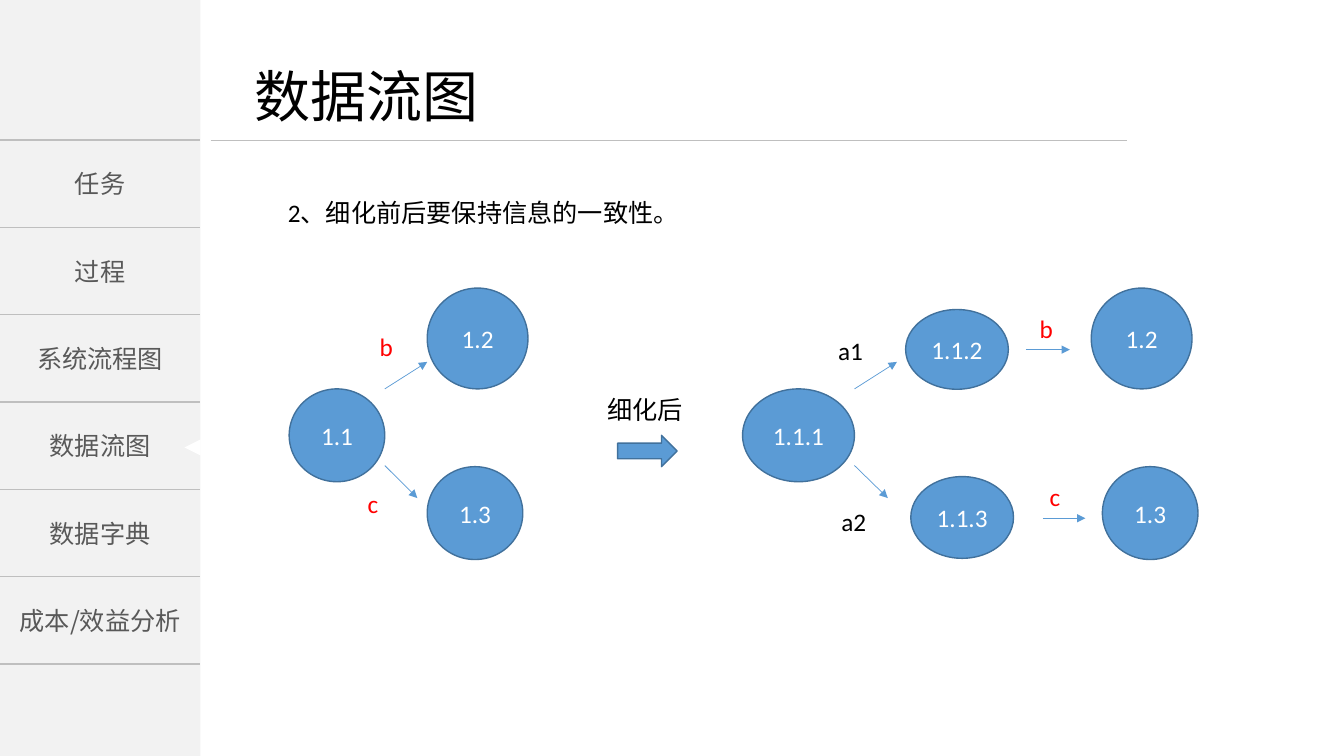
"""Build the data flow diagram slide with its chapter sidebar."""
from typing import NamedTuple

from lxml import etree
from pptx import Presentation
from pptx.dml.color import RGBColor
from pptx.enum import shapes, text
from pptx.oxml.ns import qn
from pptx.util import Cm, Pt

COLORS = {
    "black": "000000", "white": "FFFFFF", "red": "FF0000", "panel": "F2F2F2",
    "rule": "BFBFBF", "chapter": "595959", "blue": "5B9BD5", "outline": "41719C",
}
LATIN, CJK = "Calibri", "Noto Sans CJK SC"
SIDEBAR_W, CHAPTER_TOP, CHAPTER_H = 5.05, 3.53, 2.2
CHAPTERS = ["任务", "过程", "系统流程图", "数据流图", "数据字典", "成本/效益分析"]


class Box(NamedTuple):
    """Position and size in centimetres."""
    left: float
    top: float
    width: float
    height: float


class Process(NamedTuple):
    """A numbered process bubble."""
    name: str
    box: Box


class Line(NamedTuple):
    """A straight line between two points."""
    x1: float
    y1: float
    x2: float
    y2: float


class Label(NamedTuple):
    """A one-line caption."""
    words: str
    left: float
    top: float
    width: float
    color: str = "black"


PROCESSES = [
    Process("1.1", Box(7.29, 9.8, 2.41, 2.34)),
    Process("1.2", Box(10.77, 7.26, 2.54, 2.54)),
    Process("1.3", Box(10.77, 11.76, 2.41, 2.34)),
    Process("1.1.1", Box(18.72, 9.8, 2.82, 2.34)),
    Process("1.2", Box(27.51, 7.26, 2.54, 2.54)),
    Process("1.3", Box(27.79, 11.76, 2.41, 2.34)),
    Process("1.1.2", Box(22.83, 7.8, 2.59, 2.01)),
    Process("1.1.3", Box(22.96, 12.01, 2.59, 2.06)),
]
FLOWS = [
    Line(9.7, 9.8, 10.77, 9.12),
    Line(9.7, 11.73, 10.52, 12.55),
    Line(21.54, 9.8, 22.61, 9.12),
    Line(21.54, 11.73, 22.38, 12.55),
    Line(25.86, 8.81, 26.97, 8.81),
    Line(26.29, 13.06, 27.36, 13.06),
]
LABELS = [
    Label("2、细化前后要保持信息的一致性。", 7.01, 4.85, 11.15),
    Label("b", 9.32, 8.23, 0.89, "red"),
    Label("c", 9.02, 12.17, 1.3, "red"),
    Label("a1", 20.88, 8.31, 1.19),
    Label("a2", 20.96, 12.62, 1.17),
    Label("b", 25.96, 7.77, 0.84, "red"),
    Label("c", 26.21, 12.01, 0.91, "red"),
    Label("细化后", 15.06, 9.8, 3.48),
]


def rgb(name: str) -> RGBColor:
    """Look up a colour by name."""
    return RGBColor.from_string(COLORS[name])


def write(sp, words: str, color: str, font: str = LATIN, size: int = 18,
          align=text.PP_ALIGN.LEFT, anchor=text.MSO_ANCHOR.TOP, wrap: bool = True) -> None:
    """Fill a shape with one formatted paragraph."""
    tf = sp.text_frame
    tf.text = words
    tf.auto_size = text.MSO_AUTO_SIZE.NONE
    tf.word_wrap = wrap
    tf.vertical_anchor = anchor
    tf.margin_left = tf.margin_right = Cm(0.25)
    tf.margin_top = tf.margin_bottom = Cm(0.13)
    p = tf.paragraphs[0]
    p.alignment = align
    p.font.size = Pt(size)
    p.font.color.rgb = rgb(color)
    p.font.name = font
    default = p._p.pPr.find(qn("a:defRPr"))
    etree.SubElement(default, qn("a:ea"), typeface=CJK)


def add_shape(s, kind, box: Box, fill: str, outline: str = ""):
    """Add a flat preset shape."""
    sp = s.shapes.add_shape(kind, *map(Cm, box))
    sp.shadow.inherit = False
    sp.fill.solid()
    sp.fill.fore_color.rgb = rgb(fill)
    if outline:
        sp.line.color.rgb = rgb(outline)
        sp.line.width = Pt(1)
    else:
        sp.line.fill.background()
    return sp


def add_line(s, line: Line, color: str, width: float, arrow: bool = False) -> None:
    """Add a straight line, with an arrowhead if asked."""
    cxn = s.shapes.add_connector(shapes.MSO_CONNECTOR.STRAIGHT, *map(Cm, line))
    cxn.line.color.rgb = rgb(color)
    cxn.line.width = Pt(width)
    if arrow:
        ln = cxn.line._get_or_add_ln()
        etree.SubElement(ln, qn("a:tailEnd"), type="triangle")
    etree.SubElement(cxn._element.spPr, qn("a:effectLst"))


def add_title(s) -> None:
    """Place the title above its rule."""
    add_line(s, Line(5.31, CHAPTER_TOP, 28.4, CHAPTER_TOP), "rule", 0.5)
    sp = s.shapes.title
    sp.left, sp.top, sp.width, sp.height = map(Cm, Box(6.17, 1.42, 6.15, 1.96))
    write(sp, "数据流图", "black", font=CJK, size=40, wrap=False)


def add_sidebar(s) -> None:
    """Draw the chapter list and the marker of the current chapter."""
    add_shape(s, shapes.MSO_SHAPE.RECTANGLE, Box(0, 0, SIDEBAR_W, 19.05), "panel")
    tops = [CHAPTER_TOP + i * CHAPTER_H for i in range(len(CHAPTERS) + 1)]
    for chapter, top in zip(CHAPTERS, tops):
        sp = s.shapes.add_textbox(*map(Cm, Box(0, top, SIDEBAR_W, CHAPTER_H)))
        write(sp, chapter, "chapter", font=CJK, align=text.PP_ALIGN.CENTER,
              anchor=text.MSO_ANCHOR.MIDDLE)
    for top in tops:
        add_line(s, Line(0, top, SIDEBAR_W, top), "rule", 1)
    marker = add_shape(s, shapes.MSO_SHAPE.ISOSCELES_TRIANGLE,
                       Box(4.65, 11.07, 0.41, 0.41), "white")
    marker.rotation = 270


def add_diagram(s) -> None:
    """Draw the processes, flows and captions before and after refinement."""
    for process in PROCESSES:
        sp = add_shape(s, shapes.MSO_SHAPE.OVAL, process.box, "blue", "outline")
        write(sp, process.name, "white", align=text.PP_ALIGN.CENTER,
              anchor=text.MSO_ANCHOR.MIDDLE, wrap=False)
    for flow in FLOWS:
        add_line(s, flow, "blue", 0.5, arrow=True)
    add_shape(s, shapes.MSO_SHAPE.RIGHT_ARROW, Box(15.57, 10.97, 1.5, 0.79),
              "blue", "outline")
    for label in LABELS:
        sp = s.shapes.add_textbox(Cm(label.left), Cm(label.top), Cm(label.width), Cm(1.02))
        write(sp, label.words, label.color)


def main() -> None:
    """Build and save the slide."""
    prs = Presentation()
    prs.slide_width, prs.slide_height = Cm(33.88), Cm(19.05)
    s = prs.slides.add_slide(prs.slide_layouts.get_by_name("Title Only"))
    add_title(s)
    add_sidebar(s)
    add_diagram(s)
    prs.save("out.pptx")


if __name__ == "__main__":
    main()
